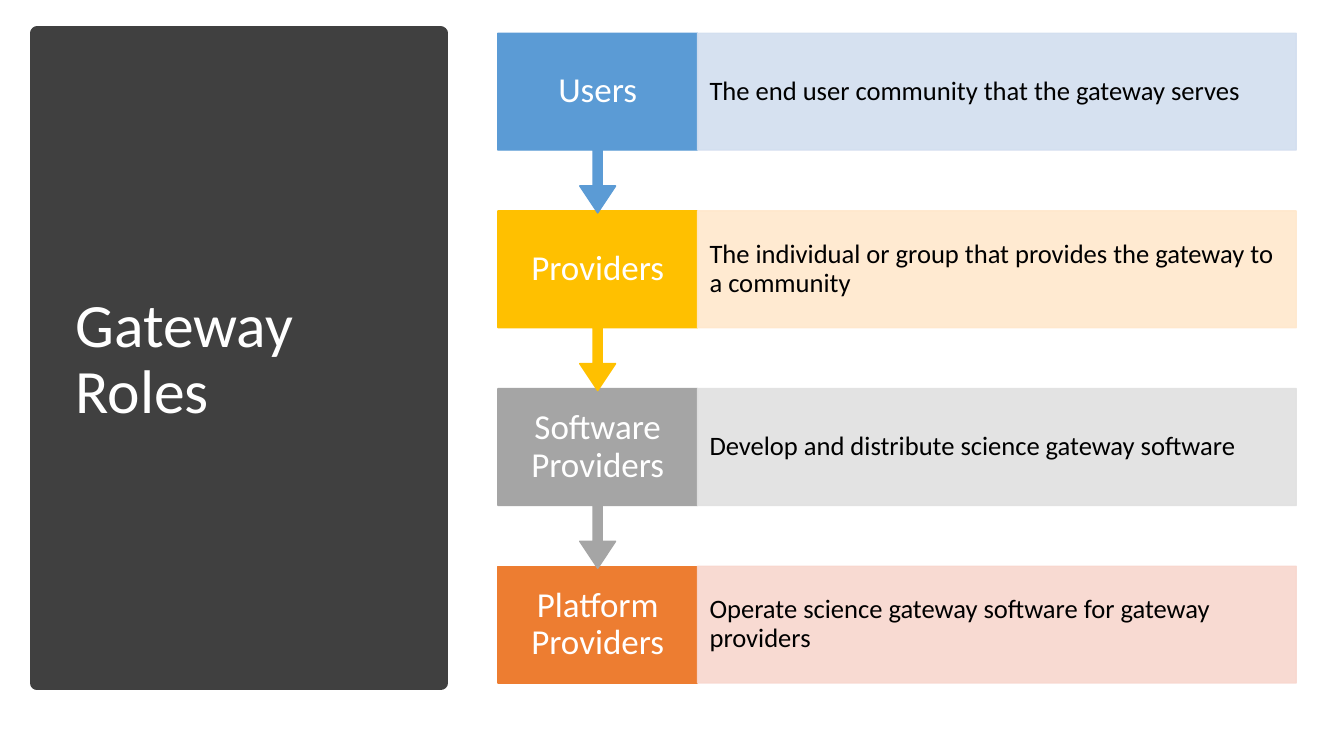
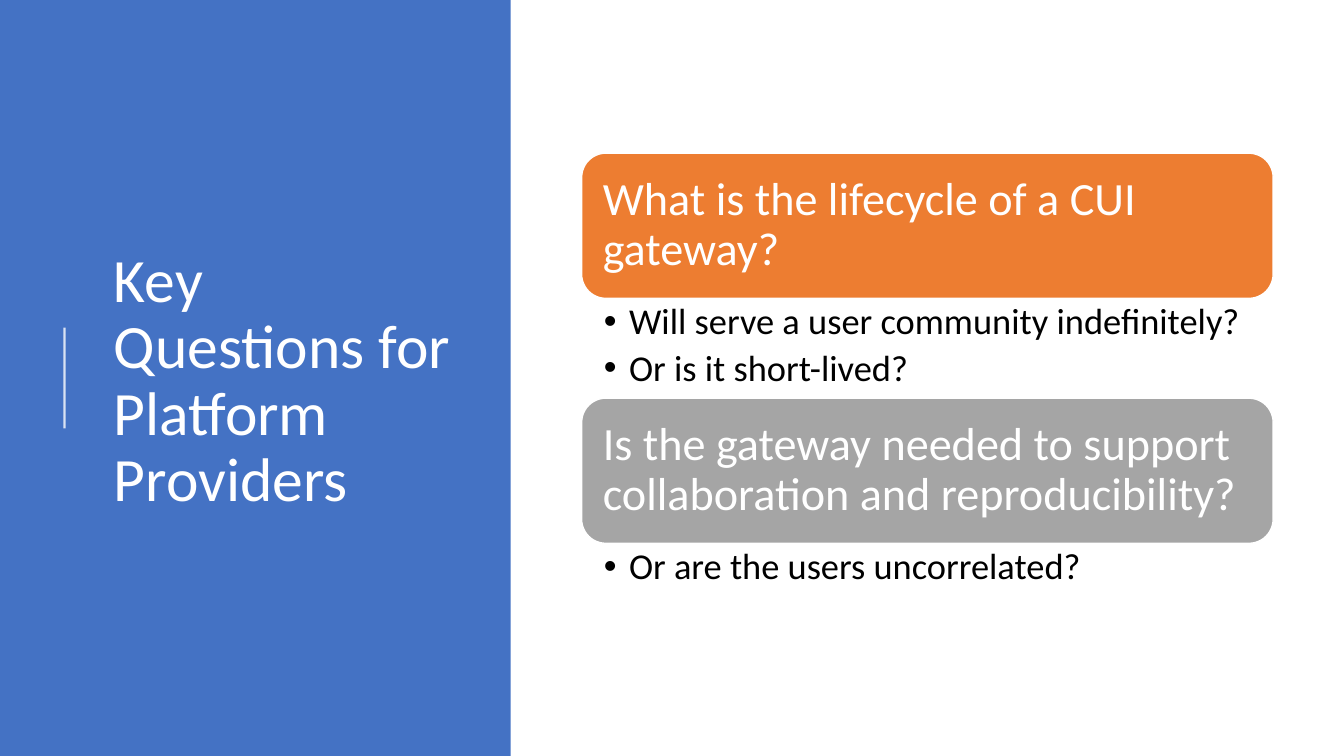
from dataclasses import dataclass

from lxml import etree
from pptx import Presentation
from pptx.dml.color import RGBColor
from pptx.enum.shapes import MSO_CONNECTOR, MSO_SHAPE
from pptx.enum.text import MSO_ANCHOR, PP_ALIGN
from pptx.oxml.ns import qn
from pptx.util import Inches, Pt

RECT = MSO_SHAPE.RECTANGLE
ROUNDED = MSO_SHAPE.ROUNDED_RECTANGLE
CALLOUT = MSO_SHAPE.DOWN_ARROW_CALLOUT
STRAIGHT = MSO_CONNECTOR.STRAIGHT
TOP, MIDDLE = MSO_ANCHOR.TOP, MSO_ANCHOR.MIDDLE
LEFT, CENTER = PP_ALIGN.LEFT, PP_ALIGN.CENTER


@dataclass(frozen=True)
class Theme:
    font: str = "Calibri"
    white: str = "FFFFFF"
    black: str = "000000"
    charcoal: str = "404040"
    royal: str = "4472C4"
    sky: str = "5B9BD5"
    gold: str = "FFC000"
    gray: str = "A5A5A5"
    orange: str = "ED7D31"
    sky_tint: str = "D2DEEF"
    gold_tint: str = "FFE8CC"
    gray_tint: str = "E1E1E1"
    orange_tint: str = "F8D7CE"
    title: int = 44
    question: int = 33
    answer: int = 26
    role: int = 25
    duty: int = 19


T = Theme()

# Slide size; X and Y are one percent of its width and height
prs = Presentation()
prs.slide_width, prs.slide_height = Inches(13.33), Inches(7.5)
X, Y = prs.slide_width / 100, prs.slide_height / 100
BLANK = prs.slide_layouts[6]


def paint(shape, fill=None, line=None, width=1, opacity=100):
    """Set fill and outline, drop the shadow and apply the opacity."""
    if fill:
        shape.fill.solid()
        shape.fill.fore_color.rgb = RGBColor.from_string(fill)
    if line:
        shape.line.color.rgb = RGBColor.from_string(line)
        shape.line.width = Pt(width)
    else:
        shape.line.fill.background()
    properties = shape._element.spPr
    if opacity < 100:
        for colour in properties.iter(qn("a:srgbClr")):
            etree.SubElement(colour, qn("a:alpha"), val=str(opacity * 1000))
    etree.SubElement(properties, qn("a:effectLst"))


def write(shape, lines, size, colour, inset=(0.1, 0.05), anchor=MIDDLE,
          align=LEFT, bullet=False):
    """Fill a shape with paragraphs; inset is (sides, top and bottom)."""
    side, end = map(Inches, inset)
    frame = shape.text_frame
    frame_format = {"word_wrap": True, "vertical_anchor": anchor,
                    "margin_left": side, "margin_right": side,
                    "margin_top": end, "margin_bottom": end}
    for name, value in frame_format.items():
        setattr(frame, name, value)
    for index, line in enumerate(lines):
        paragraph = frame.add_paragraph() if index else frame.paragraphs[0]
        paragraph.text = line
        paragraph.alignment = align
        paragraph.line_spacing = 0.9
        if bullet:
            paragraph.space_after = Pt(5)
            settings = paragraph._p.get_or_add_pPr()
            settings.set("marL", str(Inches(0.25)))
            settings.set("indent", str(-Inches(0.25)))
            etree.SubElement(settings, qn("a:buFont"), typeface="Arial")
            etree.SubElement(settings, qn("a:buChar"), char="•")
        font_format = {"name": T.font, "size": Pt(size)}
        for name, value in font_format.items():
            setattr(paragraph.runs[0].font, name, value)
        paragraph.runs[0].font.color.rgb = RGBColor.from_string(colour)


# Side panel and title of both slides: panel place, title place, colour, outline
openings = [
    ("Gateway Roles", (2.78, 4.4, 30, 86), (4.88, 9.33, 25.96, 76.67),
     T.charcoal, T.charcoal),
    ("Key Questions for Platform Providers", (0, 0, 38, 100),
     (7.73, 10.4, 27.68, 80.27), T.royal, None),
]
slides = []
for heading, panel_at, heading_at, colour, outline in openings:
    slide = prs.slides.add_slide(BLANK)
    slides.append(slide)
    left, top, width, height = panel_at
    panel = slide.shapes.add_shape(RECT, X * left, Y * top, X * width, Y * height)
    paint(panel, colour, outline, width=10)
    left, top, width, height = heading_at
    title = slide.shapes.add_textbox(X * left, Y * top, X * width, Y * height)
    write(title, [heading], T.title, T.white)
roles_slide, questions_slide = slides

# Gateway roles: a chain of labels, each with its duty to the right
roles = [
    ("Users", "The end user community that the gateway serves",
     T.sky, T.sky_tint),
    ("Providers",
     "The individual or group that provides the gateway to a community",
     T.gold, T.gold_tint),
    ("Software Providers", "Develop and distribute science gateway software",
     T.gray, T.gray_tint),
    ("Platform Providers",
     "Operate science gateway software for gateway providers",
     T.orange, T.orange_tint),
]
ROLE_LEFT, ROLE_WIDTH = X * 37.05, X * 14.85
ROW_TOP, ROW_PITCH, ROW_HEIGHT = Y * 4.4, Y * 23.5, Y * 15.45
BOX_SHARE = 0.65
last = len(roles) - 1

# From the bottom up, so that each arrow tip lies over the next label
for row in range(last, -1, -1):
    role_name, duty_text, colour, tint = roles[row]
    top = ROW_TOP + row * ROW_PITCH
    if row == last:
        role = roles_slide.shapes.add_shape(
            RECT, ROLE_LEFT, top, ROLE_WIDTH, ROW_HEIGHT)
    else:
        role = roles_slide.shapes.add_shape(
            CALLOUT, ROLE_LEFT, top, ROLE_WIDTH, ROW_HEIGHT / BOX_SHARE)
        for index, share in enumerate((0.05, 0.1, 0.15, BOX_SHARE)):
            role.adjustments[index] = share
    paint(role, colour, colour)
    write(role, [role_name], T.role, T.white, (0.14, 0.19), align=CENTER)
    duty = roles_slide.shapes.add_shape(
        RECT, ROLE_LEFT + ROLE_WIDTH, top, 3 * ROLE_WIDTH, ROW_HEIGHT)
    paint(duty, tint, tint, opacity=90)
    write(duty, [duty_text], T.duty, T.black, (0.12, 0.26))

# Key questions: a short rule beside the title
rule = questions_slide.shapes.add_connector(
    STRAIGHT, X * 4.8, Y * 56.67, X * 4.8, Y * 43.33)
paint(rule, line=T.white, width=1.5, opacity=80)

# Question cards stacked with their answers: question, colour, answers, height
questions = [
    ("What is the lifecycle of a CUI gateway?", T.orange,
     ["Will serve a user community indefinitely?", "Or is it short-lived?"],
     Y * 13.2),
    ("Is the gateway needed to support collaboration and reproducibility?",
     T.gray, ["Or are the users uncorrelated?"], Y * 8),
]
CARD_LEFT, CARD_WIDTH, CARD_HEIGHT = X * 43.28, X * 51.45, Y * 19.2
top = Y * 20.27
for question, colour, answer_lines, answers_height in questions:
    card = questions_slide.shapes.add_shape(
        ROUNDED, CARD_LEFT, top, CARD_WIDTH, CARD_HEIGHT)
    paint(card, colour, T.white)
    write(card, [question], T.question, T.white, (0.14, 0.14))
    top += CARD_HEIGHT
    answers = questions_slide.shapes.add_textbox(
        CARD_LEFT, top, CARD_WIDTH, answers_height)
    write(answers, answer_lines, T.answer, T.black, (0.22, 0.05), TOP, bullet=True)
    top += answers_height

prs.save("out.pptx")
